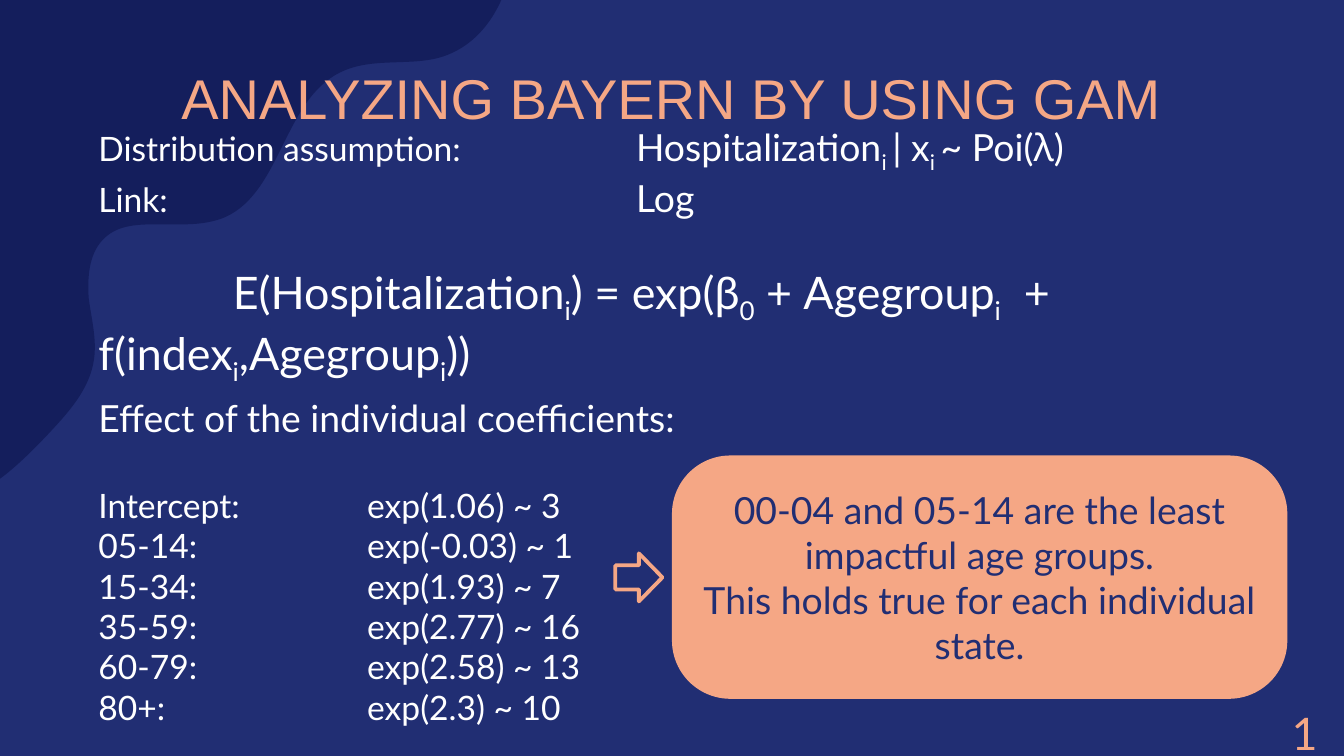
"""Build a slide that explains a GAM for hospitalization in Bayern."""
from lxml.etree import SubElement
from pptx import Presentation
from pptx.dml.color import RGBColor
from pptx.enum.shapes import MSO_SHAPE as Preset
from pptx.enum.text import MSO_ANCHOR as Anchor, MSO_AUTO_SIZE as AutoSize, PP_ALIGN as Align
from pptx.oxml.ns import qn
from pptx.util import Cm, Pt

NAVY = RGBColor(0x21, 0x2E, 0x73)
MIDNIGHT = RGBColor(0x14, 0x1E, 0x5C)
PEACH = RGBColor(0xF5, 0xA7, 0x85)
WHITE = RGBColor(0xFF, 0xFF, 0xFF)
BODY_FONT = "Lato"
GREEK_FONT = "Karla"
TITLE_FONT = "Arial"

WAVE_UNIT = Cm(2.54) / 100
WAVE_START = (381, -78)
WAVE_CURVES = [
    ((384, -70), (384, -61), (384, -51)), ((383, -14), (368, 29), (330, 42)),
    ((306, 50), (277, 42), (253, 54)), ((210, 75), (209, 147), (164, 163)),
    ((155, 166), (146, 167), (136, 167)), ((129, 167), (122, 167), (116, 167)),
    ((100, 167), (86, 168), (76, 179)), ((66, 190), (65, 207), (66, 222)),
    ((68, 237), (72, 252), (70, 267)), ((67, 290), (50, 308), (34, 325)),
    ((11, 349), (-16, 375), (-49, 375)), ((-50, 375), (-51, 375), (-53, 375)),
    ((-63, 374), (-72, 371), (-81, 366)),
]
WAVE_CORNER = (-81, -78)

COEFFICIENTS = [
    ("Intercept:", "exp(1.06) ~ 3"),
    ("05-14:", "exp(-0.03) ~ 1"),
    ("15-34:", "exp(1.93) ~ 7"),
    ("35-59:", "exp(2.77) ~ 16"),
    ("60-79:", "exp(2.58) ~ 13"),
    ("80+:", "exp(2.3) ~ 10"),
]
FORMULA = ["E(Hospitalization", "i", ") = exp(β", "0", " + Agegroup", "i",
           "  + f(index", "i", ",Agegroup", "i", "))"]
TAKEAWAYS = ["00-04 and 05-14 are the least impactful age groups.",
             "This holds true for each individual state."]


def place(box, left, top, width, height):
    """Move and size a box in centimetres."""
    box.left, box.top, box.width, box.height = map(Cm, (left, top, width, height))


def set_frame(box, anchor, side, edge):
    """Set the anchor and margins of a wrapping text frame."""
    frame = box.text_frame
    frame.word_wrap = True
    frame.auto_size = AutoSize.NONE
    frame.vertical_anchor = anchor
    frame.margin_left = frame.margin_right = Cm(side)
    frame.margin_top = frame.margin_bottom = Cm(edge)


def add_para(box, align=Align.LEFT, spacing=1.0, before=0, tab=2.54, indent=0):
    """Add an unbulleted paragraph, filling the empty first one before adding more."""
    frame = box.text_frame
    first = frame.paragraphs[0]
    para = frame.add_paragraph() if first.runs else first
    para.alignment = align
    para.line_spacing = spacing
    para.space_before = Pt(before)
    para.space_after = Pt(0)
    props = para._p.get_or_add_pPr()
    props.set("marL", "0")
    props.set("indent", str(Cm(indent)))
    props.set("defTabSz", str(Cm(tab)))
    SubElement(props, qn("a:buNone"))
    return para


def add_span(para, text, size, color=WHITE, font=BODY_FONT, lowered=False):
    """Add one formatted run, lowered to a subscript if asked."""
    span = para.add_run()
    span.text = text
    span.font.size = Pt(size)
    span.font.name = font
    span.font.color.rgb = color
    if lowered:
        span._r.get_or_add_rPr().set("baseline", "-25000")


def add_indexed(para, parts, size):
    """Add parts that alternate between normal text and subscript."""
    for position, part in enumerate(parts):
        add_span(para, part, size, lowered=position % 2 == 1)


def bend_outline(shape, curve_count):
    """Turn each three straight segments of an outline into one Bézier curve."""
    outline = next(shape.element.iter(qn("a:path")))
    segments = outline.findall(qn("a:lnTo"))
    for first in range(0, 3 * curve_count, 3):
        curve = outline.makeelement(qn("a:cubicBezTo"))
        segments[first].addprevious(curve)
        for segment in segments[first:first + 3]:
            curve.append(segment[0])
            outline.remove(segment)


def add_wave(page):
    """Draw the dark wave in the top left corner behind everything else."""
    points = [point for curve in WAVE_CURVES for point in curve]
    builder = page.shapes.build_freeform(*WAVE_START, scale=WAVE_UNIT)
    builder.add_line_segments(points + [WAVE_CORNER], close=True)
    wave = builder.convert_to_shape()
    bend_outline(wave, len(WAVE_CURVES))
    wave.shadow.inherit = False
    wave.fill.solid()
    wave.fill.fore_color.rgb = MIDNIGHT
    wave.line.fill.background()
    wave.element.getparent().insert(2, wave.element)


def add_preset(page, preset, bounds, fill):
    """Add a flat preset shape with a solid fill."""
    shape = page.shapes.add_shape(preset, *map(Cm, bounds))
    shape.shadow.inherit = False
    shape.fill.solid()
    shape.fill.fore_color.rgb = fill
    return shape


def fill_title(title):
    """Place and write the slide title."""
    place(title, 1.3, 0.87, 22.78, 2.11)
    set_frame(title, Anchor.MIDDLE, 0.25, 0.25)
    para = add_para(title, Align.CENTER, spacing=0.9)
    add_span(para, "ANALYZING BAYERN BY USING GAM", 30, PEACH, TITLE_FONT)


def fill_model(body):
    """Write the distribution, the link and the model formula."""
    place(body, 1.86, 2.29, 21.67, 6.43)
    set_frame(body, Anchor.TOP, 0, 0.05)
    para = add_para(body, tab=10.16)
    add_span(para, "Distribution assumption:", 18)
    add_indexed(para, ["\tHospitalization", "i ", "| x", "i ", "~ Poi("], 20)
    add_span(para, "λ", 20, font=GREEK_FONT)
    add_span(para, ")", 20)
    para = add_para(body, tab=10.16)
    add_span(para, "Link:", 18)
    add_span(para, "\tLog", 20)
    para = add_para(body, before=24, indent=2.54)
    add_indexed(para, FORMULA, 24)


def fill_coefficients(body):
    """Write the list of coefficients in two tabbed columns."""
    place(body, 1.86, 7.39, 11.48, 6.43)
    set_frame(body, Anchor.MIDDLE, 0, 0.05)
    add_span(add_para(body), "Effect of the individual coefficients:", 20)
    for row, (group, effect) in enumerate(COEFFICIENTS):
        para = add_para(body, before=0 if row else 24, tab=5.08)
        add_span(para, f"{group}\t{effect}", 18)


def add_takeaway(page):
    """Add the rounded box with the conclusion and the arrow that leads to it."""
    box = add_preset(page, Preset.ROUNDED_RECTANGLE, (12.7, 8.61, 11.63, 4.6), PEACH)
    box.adjustments[0] = 0.24
    box.line.fill.background()
    set_frame(box, Anchor.MIDDLE, 0.25, 0.25)
    for sentence in TAKEAWAYS:
        add_span(add_para(box, Align.CENTER), sentence, 20, NAVY)
    arrow = add_preset(page, Preset.RIGHT_ARROW, (11.63, 10.46, 0.89, 0.91), NAVY)
    arrow.line.color.rgb = PEACH
    arrow.line.width = Pt(2)


def add_page_number(page):
    """Add the page number in the bottom right corner."""
    box = page.shapes.add_textbox(*map(Cm, (24.16, 13.21, 1.24, 1.27)))
    set_frame(box, Anchor.TOP, 0.25, 0.13)
    add_span(add_para(box), "1", 24, PEACH)


def main():
    """Build the deck and save it."""
    deck = Presentation()
    deck.slide_width, deck.slide_height = Cm(25.4), Cm(14.29)
    page = deck.slides.add_slide(deck.slide_layouts.get_by_name("Two Content"))
    page.background.fill.solid()
    page.background.fill.fore_color.rgb = NAVY
    title, model, coefficients = page.placeholders
    add_wave(page)
    fill_title(title)
    add_page_number(page)
    fill_model(model)
    fill_coefficients(coefficients)
    add_takeaway(page)
    deck.save("out.pptx")


if __name__ == "__main__":
    main()
